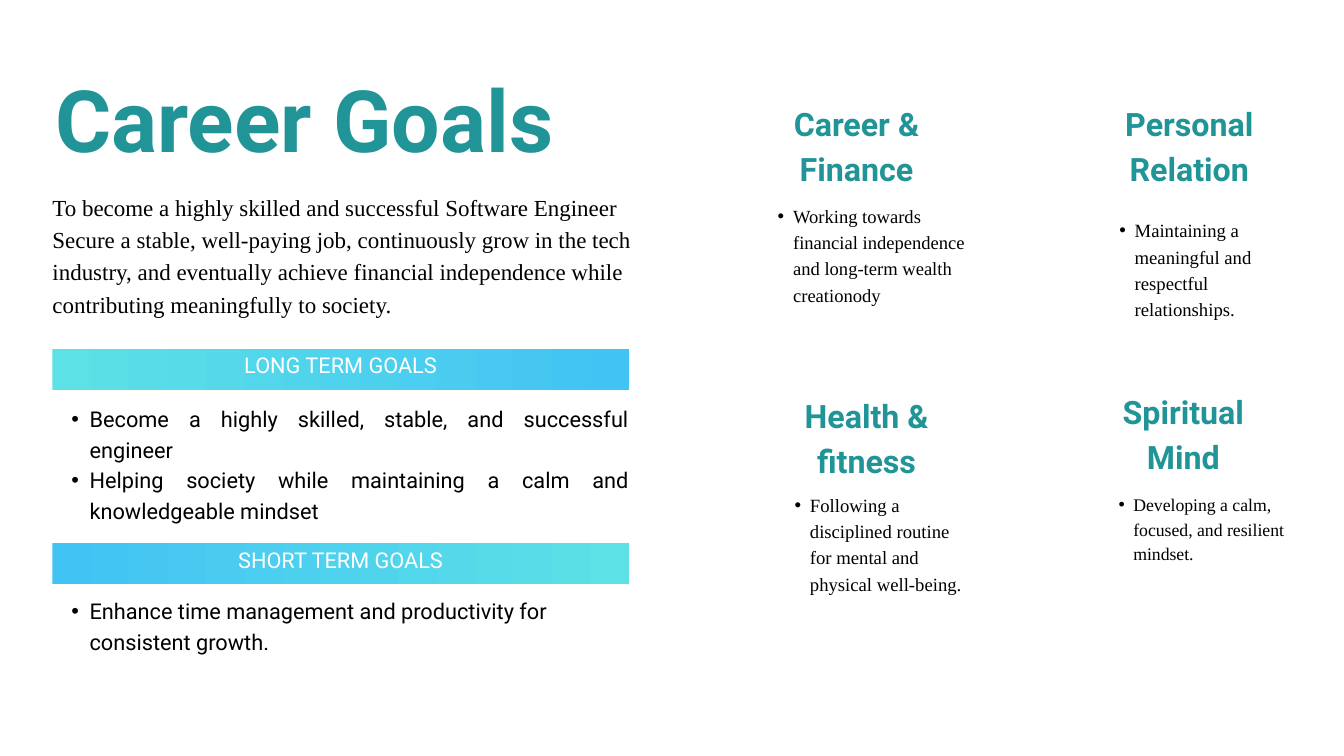
import pptx
import pptx.util
import pptx.dml.color
import pptx.enum.shapes
import pptx.enum.text
from lxml import etree
from pptx.oxml.ns import qn

PX = 9525  # 96 px to the inch
TEAL = pptx.dml.color.RGBColor(0x21, 0x94, 0x97)
AQUA = pptx.dml.color.RGBColor(0x5C, 0xE1, 0xE6)
BLUE = pptx.dml.color.RGBColor(0x41, 0xC3, 0xF4)
WHITE = pptx.dml.color.RGBColor(0xFF, 0xFF, 0xFF)
BLACK = pptx.dml.color.RGBColor(0x00, 0x00, 0x00)

SANS, SERIF = "Roboto", "Times New Roman"
ALIGN = pptx.enum.text.PP_ALIGN
ANCHOR = pptx.enum.text.MSO_ANCHOR

# Font settings with the exact line spacing in points
TITLE = {"name": SANS, "size": 92, "bold": True, "color": TEAL}, 128.8
HEADING = {"name": SANS, "size": 34.5, "bold": True, "color": TEAL}, 48.4
INTRO = {"name": SERIF, "size": 24.6, "bold": False, "color": BLACK}, 34.5
GOAL = {"name": SANS, "size": 23.3, "bold": False, "color": BLACK}, 32.6
BAR = {**GOAL[0], "color": WHITE}, 32.6


def px(value):
    return pptx.util.Emu(value * PX)


def place(shape, box):
    shape.left, shape.top, shape.width, shape.height = map(px, box)


def add_bullet(paragraph, indent):
    properties = paragraph._p.get_or_add_pPr()
    properties.set("marL", str(px(indent)))
    properties.set("indent", str(-px(indent // 2)))
    etree.SubElement(properties, qn("a:buFont")).set("typeface", "Arial")
    etree.SubElement(properties, qn("a:buChar")).set("char", "•")


def write(shape, lines, style, align=ALIGN.LEFT, anchor=ANCHOR.TOP, indent=0):
    """Fill a shape with one paragraph per line; an indent makes it a list."""
    font_values, spacing = style
    frame = shape.text_frame
    frame.word_wrap = True
    frame.auto_size = pptx.enum.text.MSO_AUTO_SIZE.NONE
    frame.vertical_anchor = anchor
    for side in ("left", "top", "right", "bottom"):
        setattr(frame, f"margin_{side}", 0)
    for number, line in enumerate(lines):
        paragraph = frame.add_paragraph() if number else frame.paragraphs[0]
        paragraph.alignment = align
        paragraph.line_spacing = pptx.util.Pt(spacing)
        paragraph.space_before = paragraph.space_after = pptx.util.Pt(0)
        if indent:
            paragraph.level = 1
            add_bullet(paragraph, indent)
        run = paragraph.add_run()
        run.text = line
        for name, value in font_values.items():
            if name == "color":
                run.font.color.rgb = value
            elif name == "size":
                run.font.size = pptx.util.Pt(value)
            else:
                setattr(run.font, name, value)


def add_text(slide, box, lines, style, **layout):
    shape = slide.shapes.add_textbox(*map(px, box))
    write(shape, lines, style, **layout)


def add_introduction(slide, box):
    left, top, width, height = box
    title = slide.shapes.title
    place(title, (left - 24, top, 768, 164))
    write(title, ["Career Goals"], TITLE, align=ALIGN.CENTER)
    add_text(slide, (left, top + 199, width, height - 199), [
        "To become a highly skilled and successful Software Engineer",
        "Secure a stable, well-paying job, continuously grow in the tech industry, "
        "and eventually achieve financial independence while contributing "
        "meaningfully to society.",
    ], INTRO)


def add_goal_section(slide, box, name, colors, placeholder, list_top, goals, align):
    """Gradient bar with its label, and the list of goals under it."""
    left, top, width, height = box
    bar = slide.shapes.add_shape(
        pptx.enum.shapes.MSO_SHAPE.RECTANGLE, *map(px, (left, top, width, 59)))
    bar.shadow.inherit = False
    bar.line.fill.background()
    bar.fill.gradient()
    bar.fill.gradient_angle = 0
    for stop, color in zip(bar.fill.gradient_stops, colors):
        stop.color.rgb = color
    write(bar, [name], BAR, align=ALIGN.CENTER, anchor=ANCHOR.MIDDLE)
    bar.text_frame.margin_bottom = px(18)  # the label sits above the middle

    place(placeholder, (left, top + list_top, width, height - list_top))
    write(placeholder, goals, GOAL, align=align, indent=53)


def add_life_area(slide, box, heading, list_box, text, size, spacing, indent):
    """Two-line heading, with a bullet whose box is relative to the heading."""
    left, top = box[:2]
    add_text(slide, box, heading, HEADING, align=ALIGN.CENTER)
    across, down, width, height = list_box
    style = {**INTRO[0], "size": size}, spacing
    add_text(slide, (left + across, top + down, width, height), [text], style,
             indent=indent)


def main():
    presentation = pptx.Presentation()
    presentation.slide_width, presentation.slide_height = px(1920), px(1080)
    slide = presentation.slides.add_slide(presentation.slide_layouts[3])
    long_list, short_list = slide.placeholders[1], slide.placeholders[2]

    # Left half: title, introduction and goals
    add_introduction(slide, (75, 71, 830, 377))
    add_goal_section(
        slide, (75, 498, 823, 247), "LONG TERM GOALS", (AQUA, BLUE), long_list, 76,
        ["Become a highly skilled, stable, and successful engineer",
         "Helping society while maintaining a calm and knowledgeable mindset"],
        ALIGN.JUSTIFY)
    add_goal_section(
        slide, (75, 776, 823, 156), "SHORT TERM GOALS", (BLUE, AQUA), short_list, 72,
        ["Enhance time management and productivity for consistent growth."],
        ALIGN.LEFT)

    # Right half: four areas of life
    areas = [
        ((1099, 140, 249, 131), ["Career &", "Finance"], (-11, 148, 292, 222),
         "Working towards financial independence and long-term wealth creationody",
         19.9, 27.9, 45),
        ((1560, 140, 278, 131), ["Personal", "Relation"], (16, 168, 222, 149),
         "Maintaining a meaningful and respectful relationships.", 20, 28, 45),
        ((1092, 557, 292, 131), ["Health &", "fitness"], (20, 143, 277, 147),
         "Following a disciplined routine for mental and physical well-being.",
         20, 28.1, 45),
        ((1541, 551, 299, 131), ["Spiritual", "Mind"], (35, 149, 262, 105),
         "Developing a calm, focused, and resilient mindset.", 19, 26.6, 43),
    ]
    for area in areas:
        add_life_area(slide, *area)

    presentation.save("out.pptx")


if __name__ == "__main__":
    main()
